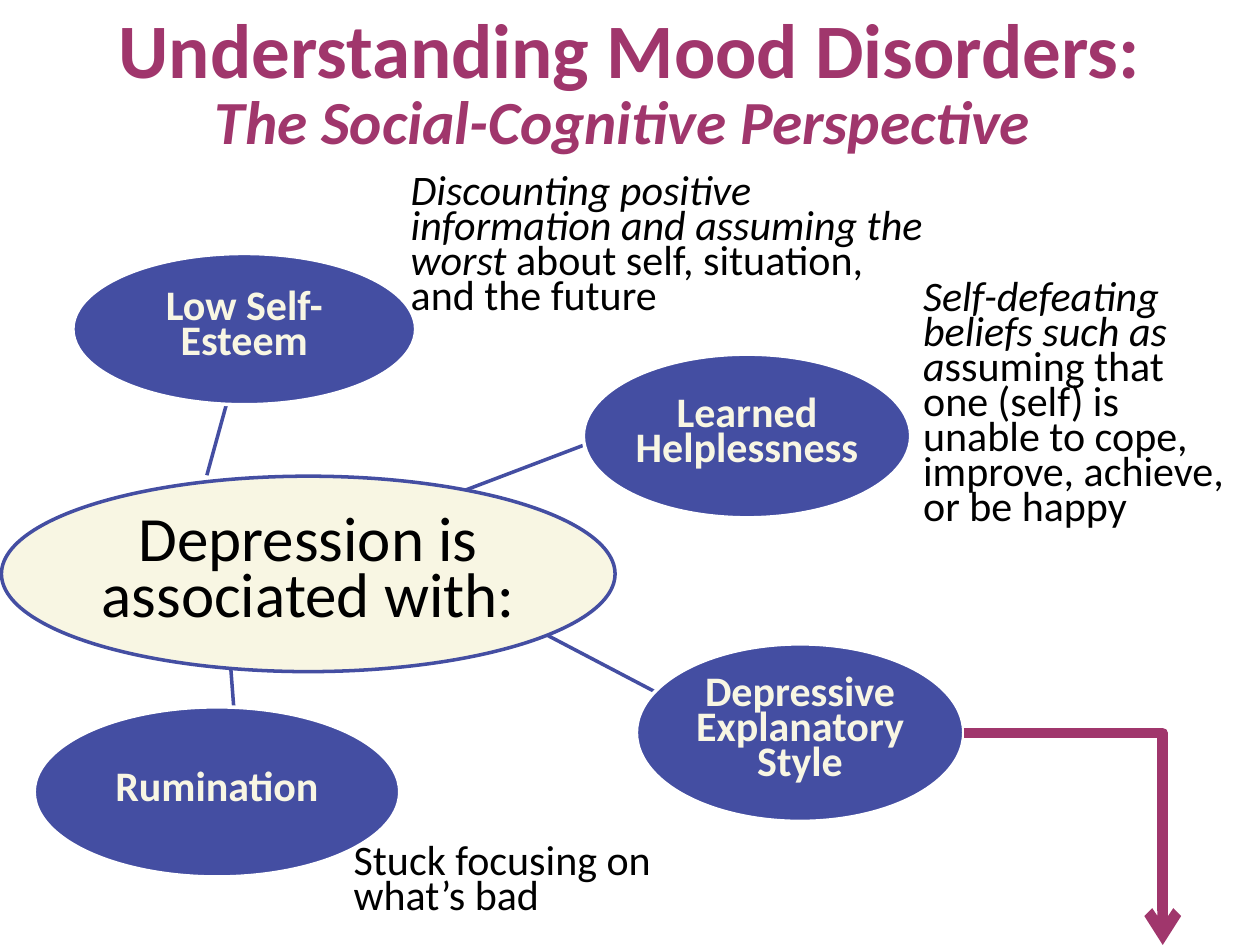
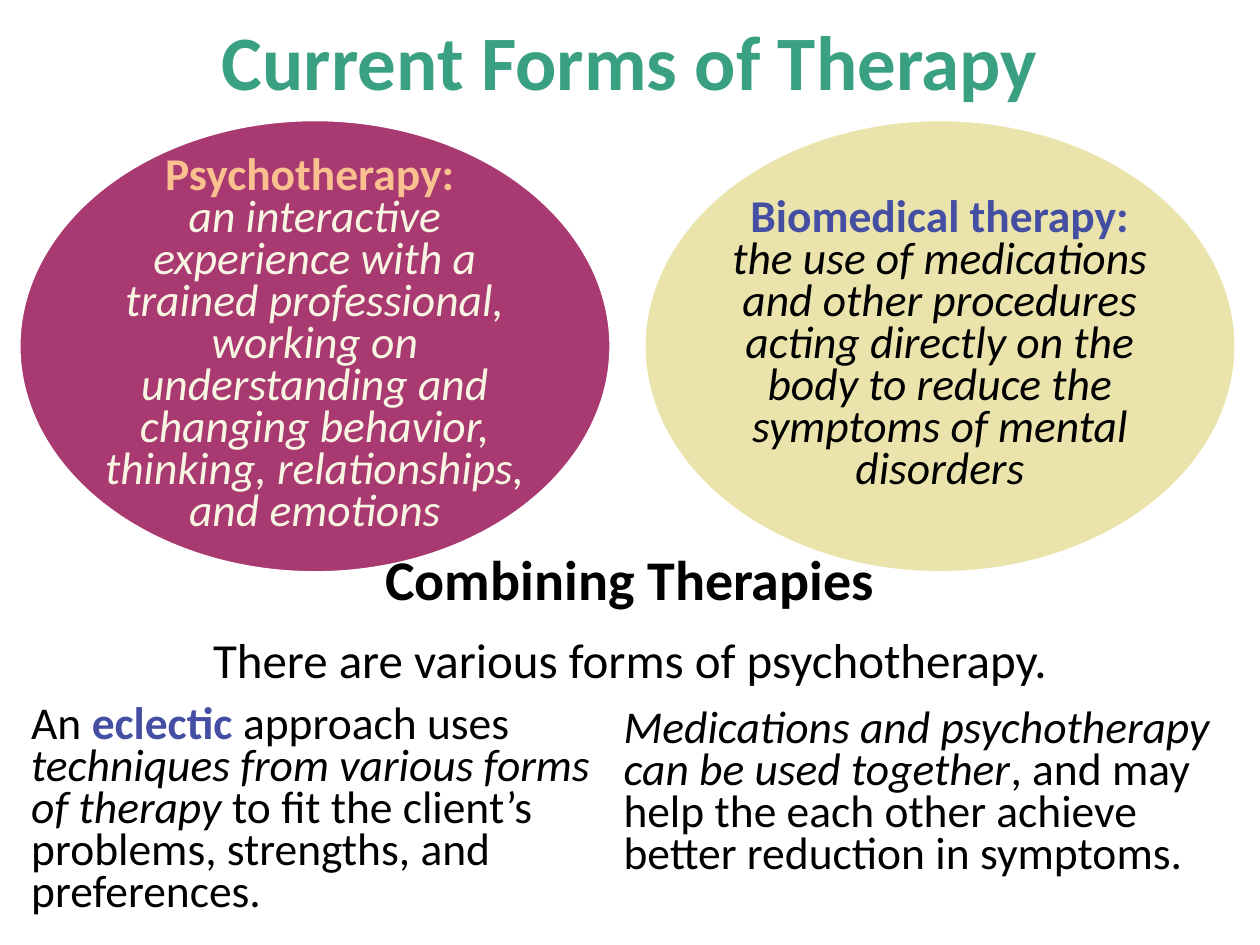
from dataclasses import dataclass
from typing import NamedTuple

from lxml.etree import SubElement
from pptx import Presentation
from pptx.dml.color import RGBColor as Rgb
from pptx.enum.shapes import MSO_CONNECTOR as Link, MSO_SHAPE as Form
from pptx.enum.text import MSO_ANCHOR as Anchor, MSO_AUTO_SIZE as Fit, PP_ALIGN as Align
from pptx.oxml.ns import qn
from pptx.util import Cm, Pt


@dataclass(frozen=True)
class Theme:
    font: str = "Calibri"
    blue: str = "444EA2"
    cream: str = "F8F6E3"
    plum: str = "A0366C"
    grape: str = "A93971"
    sand: str = "EAE4AC"
    peach: str = "FAC090"
    green: str = "3AA082"
    white: str = "FFFFFF"
    black: str = "000000"
    title: float = 44
    sub: float = 35
    hub: float = 36
    head: float = 32
    lead: float = 28
    body: float = 26
    note: float = 24
    thin: float = 2
    thick: float = 6


THEME = Theme()


class Box(NamedTuple):
    left: float
    top: float
    width: float
    height: float


class Run(NamedTuple):
    text: str
    size: float = THEME.note
    color: str = THEME.black
    bold: bool = False
    slant: bool = False


Lines = tuple[tuple[Run, ...], ...]


@dataclass(frozen=True)
class Note:
    box: Box
    lines: Lines
    pitch: float | None = None
    align: Align = Align.LEFT


@dataclass(frozen=True)
class Oval:
    box: Box
    lines: Lines
    pitch: float
    fill: str = THEME.blue
    edge: str = THEME.white


class Spoke(NamedTuple):
    x1: float
    y1: float
    x2: float
    y2: float


def spot(box: Box) -> list[int]:
    return [Cm(side) for side in box]


def write(frame, lines: Lines, align: Align, pitch: float | None) -> None:
    frame.word_wrap = True
    frame.auto_size = Fit.NONE
    for index, runs in enumerate(lines):
        para = frame.add_paragraph() if index else frame.paragraphs[0]
        para.alignment = align
        if pitch:
            para.line_spacing = Pt(pitch)
        for item in runs:
            run = para.add_run()
            run.text = item.text
            font = run.font
            font.name = THEME.font
            font.size = Pt(item.size)
            font.bold = item.bold
            font.italic = item.slant
            font.color.rgb = Rgb.from_string(item.color)


def draw_title(slide, box: Box, runs: tuple[Run, ...], pitch: float | None = None) -> None:
    title = slide.shapes.title
    title.left, title.top, title.width, title.height = spot(box)
    title.text_frame.vertical_anchor = Anchor.MIDDLE
    write(title.text_frame, (runs,), Align.CENTER, pitch)


def draw_note(slide, note: Note) -> None:
    shape = slide.shapes.add_textbox(*spot(note.box))
    write(shape.text_frame, note.lines, note.align, note.pitch)


def draw_oval(slide, oval: Oval) -> None:
    shape = slide.shapes.add_shape(Form.OVAL, *spot(oval.box))
    shape.shadow.inherit = False
    shape.fill.solid()
    shape.fill.fore_color.rgb = Rgb.from_string(oval.fill)
    shape.line.color.rgb = Rgb.from_string(oval.edge)
    shape.line.width = Pt(THEME.thin)
    frame = shape.text_frame
    frame.margin_left = frame.margin_right = Cm(-0.2)
    frame.margin_top = frame.margin_bottom = 0
    frame.vertical_anchor = Anchor.MIDDLE
    write(frame, oval.lines, Align.CENTER, oval.pitch)


def draw_line(slide, kind: Link, ends: Spoke, color: str, width: float):
    line = slide.shapes.add_connector(kind, *[Cm(end) for end in ends])
    line.line.color.rgb = Rgb.from_string(color)
    line.line.width = Pt(width)
    SubElement(line._element.spPr, qn("a:effectLst"))
    return line


def draw_arrow(slide, ends: Spoke) -> None:
    arrow = draw_line(slide, Link.ELBOW, ends, THEME.plum, THEME.thick)
    props = arrow._element.spPr
    props.find(qn("a:prstGeom")).set("prst", "bentConnector2")
    SubElement(props.find(qn("a:ln")), qn("a:tailEnd")).set("type", "arrow")


def topic(text: str, box: Box) -> Oval:
    return Oval(box, ((Run(text, color=THEME.cream, bold=True),),), 20)


def form(left: float, name: str, text: str, fill: str, tint: str, ink: str) -> Oval:
    lines = ((Run(name, THEME.body, tint, bold=True),), (Run(text, THEME.body, ink, slant=True),))
    return Oval(Box(left, 2.41, 11.94, 9.14), lines, 24, fill)


SPOKES = (
    Spoke(10.64, 12.6, 13.94, 14.33),
    Spoke(4.17, 9.58, 4.57, 8.13),
    Spoke(9.25, 9.93, 11.91, 8.92),
    Spoke(4.65, 13.44, 4.75, 14.76),
)

TOPICS = (
    topic("Depressive Explanatory Style", Box(12.83, 12.98, 6.6, 3.58)),
    topic("Low Self-Esteem", Box(1.47, 5.11, 6.91, 3.05)),
    topic("Learned Helplessness", Box(11.76, 7.14, 6.6, 3.3)),
    topic("Rumination", Box(0.69, 14.25, 7.37, 3.43)),
)

HUB = Oval(
    Box(0.03, 9.6, 12.37, 3.94),
    ((Run("Depression is associated with:", THEME.hub),),),
    32,
    THEME.cream,
    THEME.blue,
)

HINTS = (
    Note(
        Box(8.03, 3.48, 11.05, 3.15),
        ((
            Run("Discounting positive information and assuming the worst", slant=True),
            Run(" about self, situation, and the future"),
        ),),
        20,
    ),
    Note(
        Box(18.36, 5.61, 6.78, 5.23),
        ((
            Run("Self-defeating beliefs such as a", slant=True),
            Run("ssuming that one (self) is unable to cope, improve, achieve, or be happy"),
        ),),
        20,
    ),
    Note(Box(6.88, 16.99, 8.18, 1.73), ((Run("Stuck focusing on what’s bad"),),), 20),
)

FORMS = (
    form(
        0.38,
        "Psychotherapy: ",
        "an interactive experience with a trained professional, working on understanding "
        "and changing behavior, thinking, relationships, and emotions",
        THEME.grape,
        THEME.peach,
        THEME.cream,
    ),
    form(
        12.98,
        "Biomedical therapy:",
        "the use of medications and other procedures acting directly on the body "
        "to reduce the symptoms of mental disorders",
        THEME.sand,
        THEME.blue,
        THEME.black,
    ),
)

MIXES = (
    Note(
        Box(0, 12.57, 25.4, 1.45),
        ((Run("There are various forms of psychotherapy.", THEME.lead),),),
        align=Align.CENTER,
    ),
    Note(
        Box(0, 10.85, 25.4, 3.18),
        ((Run("Combining Therapies", THEME.head, bold=True),),),
        align=Align.CENTER,
    ),
    Note(
        Box(0.38, 14.12, 12.7, 4.57),
        ((
            Run("An ", THEME.body),
            Run("eclectic ", THEME.body, THEME.blue, bold=True),
            Run("approach uses ", THEME.body),
            Run("techniques from various forms of therapy", THEME.body, slant=True),
            Run(" to fit the client’s problems, strengths, and preferences.", THEME.body),
        ),),
        24,
    ),
    Note(
        Box(12.32, 14.2, 12.7, 3.71),
        ((
            Run("Medications and psychotherapy can be used together", THEME.body, slant=True),
            Run(", and may help the each other achieve better reduction in symptoms.", THEME.body),
        ),),
        24,
    ),
)


def mood_slide(slide) -> None:
    draw_title(
        slide,
        Box(1.27, 0.3, 22.86, 3.18),
        (
            Run("Understanding Mood Disorders: ", THEME.title, THEME.plum, bold=True),
            Run("The Social-Cognitive Perspective ", THEME.sub, THEME.plum, True, True),
        ),
        36,
    )
    for spoke in SPOKES:
        draw_line(slide, Link.STRAIGHT, spoke, THEME.blue, THEME.thin)
    for oval in (*TOPICS, HUB):
        draw_oval(slide, oval)
    for note in HINTS:
        draw_note(slide, note)
    draw_arrow(slide, Spoke(19.43, 14.78, 23.44, 19.05))


def care_slide(slide) -> None:
    draw_title(
        slide,
        Box(0, 0.13, 25.4, 2.13),
        (Run("Current Forms of Therapy", THEME.title, THEME.green, bold=True),),
    )
    for oval in FORMS:
        draw_oval(slide, oval)
    for note in MIXES:
        draw_note(slide, note)


def main() -> None:
    deck = Presentation()
    deck.slide_width, deck.slide_height = Cm(25.4), Cm(19.05)
    for build in (mood_slide, care_slide):
        build(deck.slides.add_slide(deck.slide_layouts[5]))
    deck.save("out.pptx")


if __name__ == "__main__":
    main()
